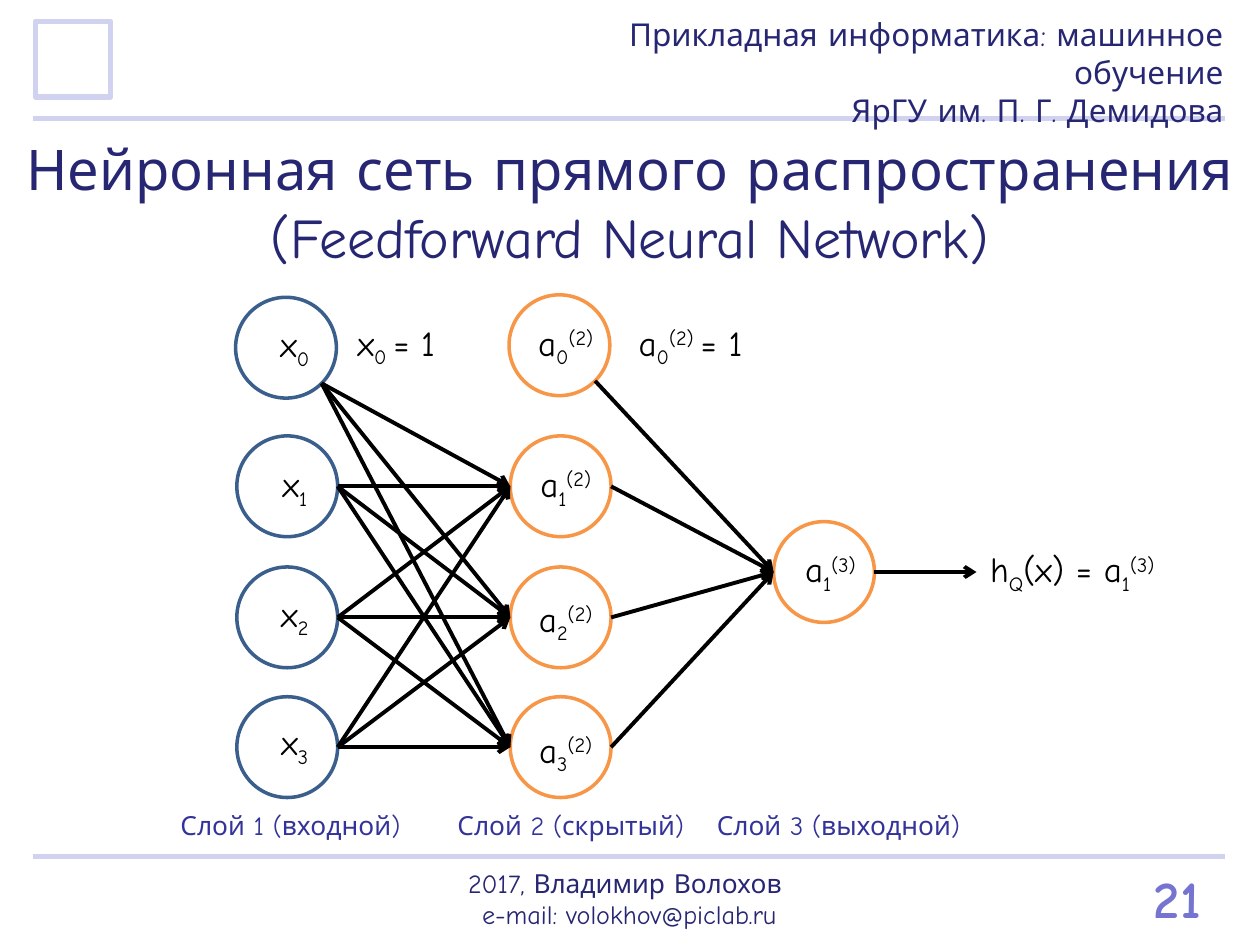
from math import cos, pi
from lxml.etree import SubElement
from pptx import Presentation
from pptx.dml.color import RGBColor
from pptx.enum.shapes import MSO_CONNECTOR, MSO_SHAPE
from pptx.enum.text import MSO_ANCHOR, MSO_AUTO_SIZE, PP_ALIGN
from pptx.oxml.ns import qn
from pptx.util import Pt

SCALE = 9144  # EMU per px, 100 px to the inch
NAVY, INDIGO, VIOLET, LAVENDER = "262673", "333399", "7575D1", "D1D1F0"
BLUE, ORANGE, BLACK, WHITE = "3A5F8C", "F79646", "000000", "FFFFFF"
SUB, SUP = -25000, 30000
LEFT, CENTER, RIGHT = PP_ALIGN.LEFT, PP_ALIGN.CENTER, PP_ALIGN.RIGHT
D = 80  # neuron diameter


def px(n):
    return round(n * SCALE)


def rgb(value):
    return RGBColor.from_string(value)


class SlideBuilder:
    font = "Comic Neue"

    def __init__(self, prs):
        self.s = prs.slides.add_slide(prs.slide_layouts[5])

    def set_text(self, sp, paragraphs, size, color, align, bold=False, **frame):
        """Fill a frame; a paragraph is a string or a list of (text, baseline)."""
        tf = sp.text_frame
        settings = {"word_wrap": True, "vertical_anchor": MSO_ANCHOR.TOP,
                    "auto_size": MSO_AUTO_SIZE.NONE, **frame}
        for name, value in settings.items():
            setattr(tf, name, value)
        for i, parts in enumerate(paragraphs):
            p = tf.add_paragraph() if i else tf.paragraphs[0]
            p.alignment = align
            for text, baseline in [(parts, 0)] if isinstance(parts, str) else parts:
                r = p.add_run()
                r.text = text
                for name, value in {"name": self.font, "size": Pt(size), "bold": bold}.items():
                    setattr(r.font, name, value)
                r.font.color.rgb = rgb(color)
                if baseline:
                    r._r.get_or_add_rPr().set("baseline", str(baseline))

    def title(self, box, text, size):
        sp = self.s.shapes.title
        sp.left, sp.top, sp.width, sp.height = map(px, box)
        self.set_text(sp, [text], size, NAVY, CENTER,
                      auto_size=MSO_AUTO_SIZE.SHAPE_TO_FIT_TEXT)

    def text(self, box, paragraphs, size, color, align=CENTER, **style):
        sp = self.s.shapes.add_textbox(*map(px, box))
        self.set_text(sp, paragraphs, size, color, align, **style)

    def label(self, box, parts, size=20, color=BLACK, align=CENTER, **style):
        self.text(box, [parts], size, color, align, word_wrap=False,
                  auto_size=MSO_AUTO_SIZE.SHAPE_TO_FIT_TEXT, **style)

    def shape(self, kind, box, line, width, fill=None):
        sp = self.s.shapes.add_shape(kind, *map(px, box))
        sp.shadow.inherit = False
        if fill:
            sp.fill.solid()
            sp.fill.fore_color.rgb = rgb(fill)
        else:
            sp.fill.background()
        sp.line.color.rgb = rgb(line)
        sp.line.width = Pt(width)

    def line(self, start, end, color=BLACK, width=2.25, arrow=True):
        sp = self.s.shapes.add_connector(MSO_CONNECTOR.STRAIGHT, *map(px, (*start, *end)))
        sp.line.color.rgb = rgb(color)
        sp.line.width = Pt(width)
        if arrow:
            SubElement(sp._element.spPr.find(qn("a:ln")), qn("a:tailEnd"), type="arrow")
        SubElement(sp._element.spPr, qn("a:effectLst"))


def term(name, index, layer=None):
    parts = [(name, 0), (str(index), SUB)]
    return parts + [(f"({layer})", SUP)] if layer else parts


def left_edge(node):
    return node[0], node[1] + D / 2


def right_edge(node):
    return node[0] + D, node[1] + D / 2


def lower_right(node):
    offset = D / 2 * (1 + cos(pi / 4))
    return node[0] + offset, node[1] + offset


def main():
    prs = Presentation()
    prs.slide_width, prs.slide_height = px(1000), px(750)
    b = SlideBuilder(prs)

    # Frame: rules, corner square, header and footer
    for y in (94, 680):
        b.line((26, y), (972, y), LAVENDER, 3, arrow=False)
    b.shape(MSO_SHAPE.RECTANGLE, (28, 17, 60, 60), LAVENDER, 3)
    b.text((380, 7, 601, 71), ["Прикладная информатика: машинное обучение",
                               "ЯрГУ им. П. Г. Демидова"], 18, NAVY, RIGHT)
    b.text((351, 688, 297, 50), ["2017, Владимир Волохов ", "e-mail: volokhov@piclab.ru"],
           15, NAVY, vertical_anchor=MSO_ANCHOR.MIDDLE)
    b.label((906, 682, 71, 61), "21", 30, VIOLET, LEFT, bold=True)
    b.title((8, 102, 984, 118),
            "Нейронная сеть прямого распространения (Feedforward Neural Network)", 32)

    # Neurons: the bias unit comes first in each layer
    rows = (346, 450, 553)
    inputs = [(187, 236)] + [(188, y) for y in rows]
    hidden = [(404, 234)] + [(405, y) for y in rows]
    output = (614, 414)
    for nodes, color in ((inputs, BLUE), (hidden + [output], ORANGE)):
        for x, y in nodes:
            b.shape(MSO_SHAPE.OVAL, (x, y, D, D), color, 2, WHITE)

    # Connections between layers
    for sources, targets in ((inputs, hidden[1:]), (hidden, [output])):
        starts = [lower_right(sources[0])] + [right_edge(n) for n in sources[1:]]
        for start in starts:
            for target in targets:
                b.line(start, left_edge(target))
    b.line(right_edge(output), (775, 454))

    # Neuron labels
    for i, y in enumerate((251, 362, 465, 567)):
        b.label((210, y, 48, 44), term("x", i))
    for i, y in enumerate((250, 362, 469, 573)):
        b.label((414, y, 70, 44), term("a", i, 2))
    b.label((625, 430, 68, 44), term("a", 1, 3))

    # Bias values and hypothesis
    b.label((270, 250, 89, 44), [("x", 0), ("0 ", SUB), ("= 1", 0)])
    b.label((492, 250, 112, 44), [("a", 0), ("0", SUB), ("(2) ", SUP), ("= 1", 0)])
    b.label((776, 430, 169, 44),
            [("h", 0), ("Q", SUB), ("(x) = ", 0)] + term("a", 1, 3), align=LEFT)

    # Layer captions
    for x, width, caption in ((133, 195, "Слой 1 (входной)"),
                              (352, 202, "Слой 2 (скрытый)"),
                              (558, 215, "Слой 3 (выходной)")):
        b.label((x, 637, width, 35), caption, 15, INDIGO)

    prs.save("out.pptx")


if __name__ == "__main__":
    main()
